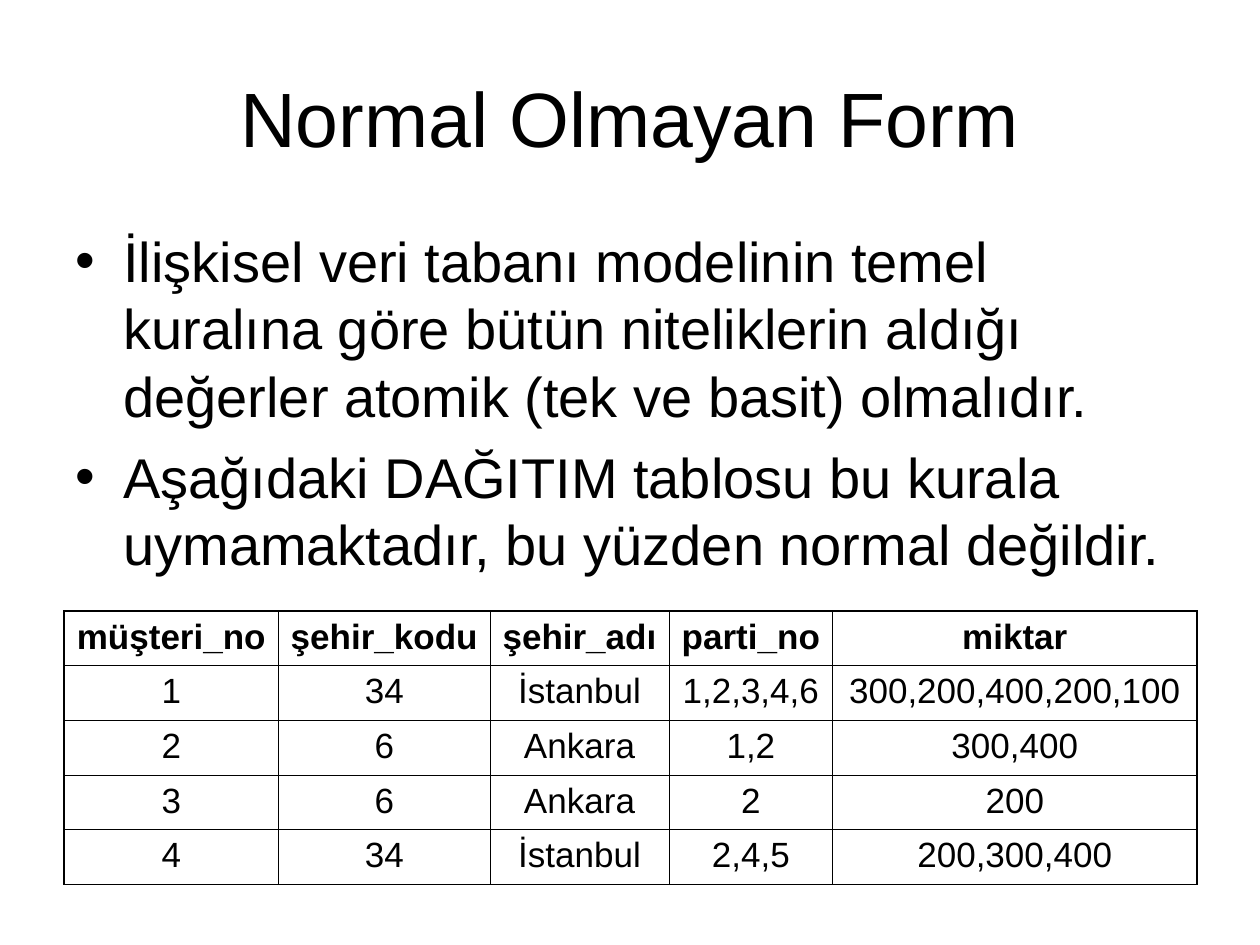
"""Build the slide on the unnormalized form with its sample table."""
from lxml import etree
from pptx import Presentation, util as u
from pptx.dml.color import RGBColor
from pptx.enum import text
from pptx.oxml import ns

BLACK = RGBColor(0x00, 0x00, 0x00)
FONT = "Arial"
THIN, THICK = 0.45, 1.08
BULLETS = [
    "İlişkisel veri tabanı modelinin temel kuralına göre bütün niteliklerin "
    "aldığı değerler atomik (tek ve basit) olmalıdır.",
    "Aşağıdaki DAĞITIM tablosu bu kurala uymamaktadır, bu yüzden normal değildir.",
]
COLUMN_WIDTHS = [1.7, 1.68, 1.42, 1.3, 2.89]
ROWS = [
    ["müşteri_no", "şehir_kodu", "şehir_adı", "parti_no", "miktar"],
    ["1", "34", "İstanbul", "1,2,3,4,6", "300,200,400,200,100"],
    ["2", "6", "Ankara", "1,2", "300,400"],
    ["3", "6", "Ankara", "2", "200"],
    ["4", "34", "İstanbul", "2,4,5", "200,300,400"],
]


def style(para, size, bold=False):
    para.font.name = FONT
    para.font.size = u.Pt(size)
    para.font.bold = bold
    para.font.color.rgb = BLACK


def add_box(page, left, top, width, height):
    frame = page.shapes.add_textbox(
        u.Inches(left), u.Inches(top), u.Inches(width), u.Inches(height)).text_frame
    frame.word_wrap = True
    return frame


def add_title(page, words):
    frame = add_box(page, 0.5, 0.3, 9, 1.25)
    frame.vertical_anchor = text.MSO_ANCHOR.MIDDLE
    para = frame.paragraphs[0]
    para.text = words
    para.alignment = text.PP_ALIGN.CENTER
    style(para, 44)


def add_bullet(para):
    props = para._p.get_or_add_pPr()
    props.set("marL", str(u.Inches(0.38)))
    props.set("indent", str(u.Inches(-0.38)))
    color = etree.SubElement(props, ns.qn("a:buClr"))
    etree.SubElement(color, ns.qn("a:srgbClr"), val=str(BLACK))
    etree.SubElement(props, ns.qn("a:buFont"), typeface=FONT)
    etree.SubElement(props, ns.qn("a:buChar"), char="•")


def add_body(page, items):
    frame = add_box(page, 0.5, 1.75, 9, 3.18)
    for index, item in enumerate(items):
        para = frame.add_paragraph() if index else frame.paragraphs[0]
        para.text = item
        add_bullet(para)
        if index:
            para.space_before = u.Pt(8)
        style(para, 32)


def set_border(cell, side, width):
    line = etree.SubElement(cell._tc.get_or_add_tcPr(), ns.qn(f"a:ln{side}"),
                            w=str(u.Pt(width)))
    fill = etree.SubElement(line, ns.qn("a:solidFill"))
    etree.SubElement(fill, ns.qn("a:srgbClr"), val=str(BLACK))


def add_grid(page, rows, widths):
    table = page.shapes.add_table(
        len(rows), len(widths), u.Inches(0.51), u.Inches(4.85),
        u.Inches(sum(widths)), u.Inches(2.17)).table
    table.horz_banding = False
    for column, width in zip(table.columns, widths):
        column.width = u.Inches(width)
    for r, row in enumerate(rows):
        for c, value in enumerate(row):
            cell = table.cell(r, c)
            cell.margin_left = cell.margin_right = u.Inches(0.09)
            outer = {"L": c == 0, "R": c == len(row) - 1,
                     "T": r == 0, "B": r == len(rows) - 1}
            for side, is_outer in outer.items():
                set_border(cell, side, THICK if is_outer else THIN)
            cell.fill.background()
            para = cell.text_frame.paragraphs[0]
            para.text = value
            para.alignment = text.PP_ALIGN.CENTER
            style(para, 20, bold=r == 0)


def main():
    deck = Presentation()
    deck.slide_width, deck.slide_height = u.Inches(10), u.Inches(7.5)
    page = deck.slides.add_slide(deck.slide_layouts[6])
    add_title(page, "Normal Olmayan Form")
    add_body(page, BULLETS)
    add_grid(page, ROWS, COLUMN_WIDTHS)
    deck.save("out.pptx")


if __name__ == "__main__":
    main()
